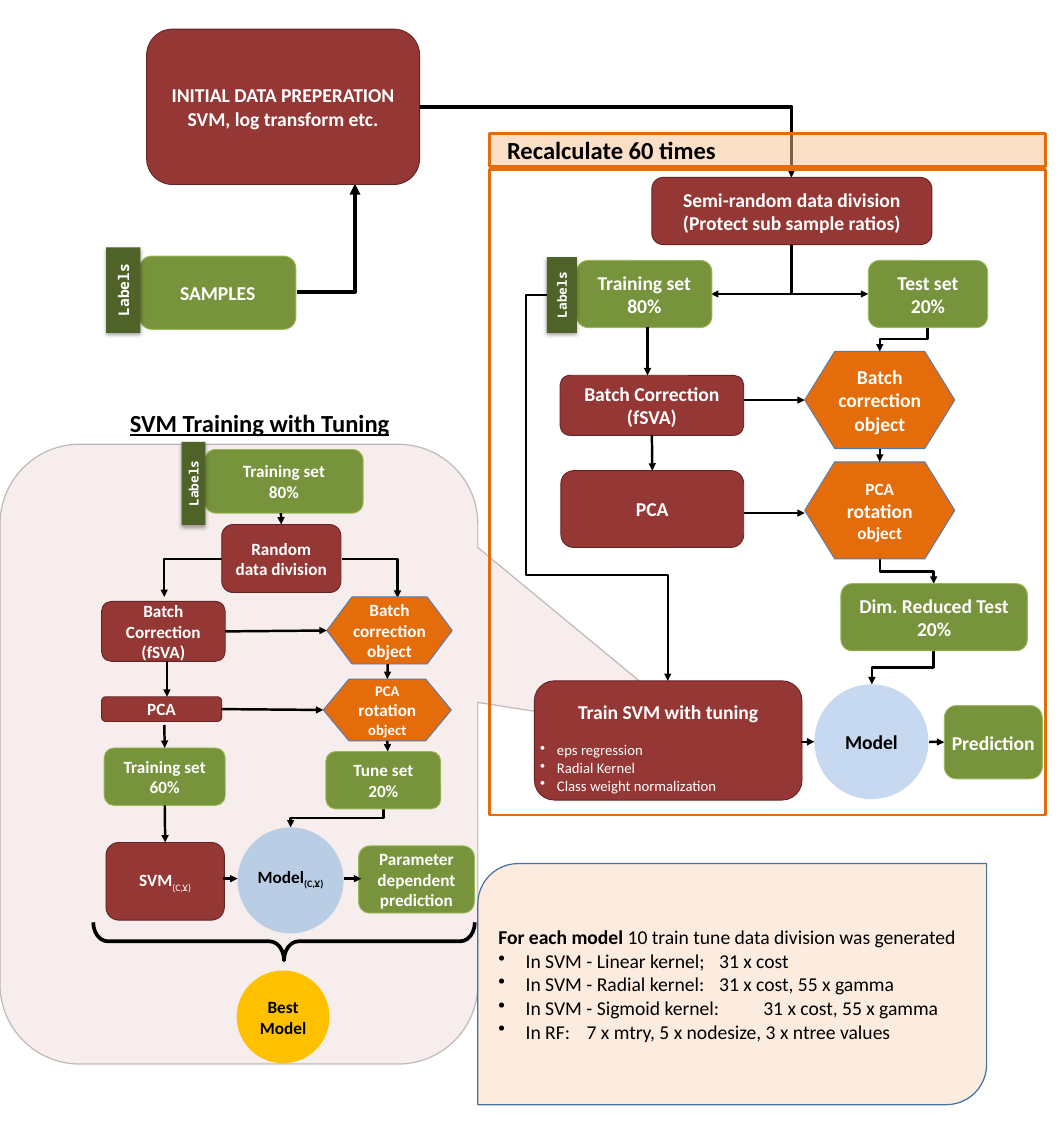
"""Builds a flow chart slide on training and tuning SVM models."""
import lxml.etree
import pptx
import pptx.dml.color
import pptx.enum.shapes
import pptx.enum.text
import pptx.oxml.ns
import pptx.util

SIZE = (1200, 1300)
PX = 9144
HUES = {"red": "953735", "wine": "632523", "green": "77933C", "lime": "98B955",
        "orange": "E46C0A", "blue": "4B7EBC", "moss": "4F6228", "sky": "C6D9F1",
        "steel": "B9CDE5", "gold": "FFC000", "rose": "E6B9B8", "peach": "FAC090",
        "sand": "F4B183", "navy": "43739E", "white": "FFFFFF", "black": "000000"}
FORM = pptx.enum.shapes.MSO_SHAPE
ALT = FORM.FLOWCHART_ALTERNATE_PROCESS
# kind: (shape, fill, fill alpha, line, line width, text colour)
KINDS = {
    "red": (ALT, "red", 100, "wine", 0.75, "white"),
    "green": (ALT, "green", 100, "lime", 0.75, "white"),
    "hex": (FORM.FLOWCHART_PREPARATION, "orange", 100, "blue", 0.75, "white"),
    "label": (FORM.RECTANGLE, "moss", 100, None, 0, "white"),
    "sky": (FORM.OVAL, "sky", 100, None, 0, "black"),
    "steel": (FORM.OVAL, "steel", 100, None, 0, "black"),
    "gold": (FORM.OVAL, "gold", 100, None, 0, "black"),
    "call": (FORM.ROUNDED_RECTANGULAR_CALLOUT, "rose", 25, "black", 1, "black"),
    "frame": (FORM.RECTANGLE, None, 100, "orange", 2.25, "black"),
    "head": (FORM.RECTANGLE, "peach", 50, "orange", 2.25, "black"),
    "note": (FORM.ROUND_2_DIAG_RECTANGLE, "sand", 25, "navy", 1, "black"),
    "brace": (FORM.RIGHT_BRACE, None, 100, "black", 3, "black"),
}
WIDE = (10, 5, 10, 5)
SLIM = (0, 5, 0, 5)
BACK = ("call", (0, 503, 541, 702), 14, [], WIDE)
BOXES = [
    ("red", (166, 33, 309, 176), 16,
     ["INITIAL DATA PREPERATION", "SVM, log transform etc."], WIDE),
    ("green", (158, 290, 177, 83), 16, ["SAMPLES"], WIDE),
    ("label", (91, 309, 97, 39), 12, ["Labels"], WIDE),
    ("sky", (922, 775, 129, 130), 16, ["Model"], WIDE),
    ("red", (738, 201, 317, 76), 16,
     ["Semi-random data division", "(Protect sub sample ratios)"], WIDE),
    ("green", (653, 295, 153, 76), 16, ["Training set\v80%"], WIDE),
    ("green", (983, 295, 135, 76), 16, ["Test set\v20%"], WIDE),
    ("hex", (911, 523, 170, 110), 14,
     [[("PCA\v", {}), ("rotation", {"size": 16}), (" object", {})]], WIDE),
    ("green", (952, 661, 211, 76), 16, ["Dim. Reduced Test", "20%"], WIDE),
    ("red", (605, 771, 303, 135), 16, ["Train SVM with tuning"], (0, 5, 0, 0)),
    ("green", (1069, 799, 111, 83), 16, ["Prediction"], (2, 5, 2, 5)),
    ("frame", (554, 192, 630, 731), 16, [], WIDE),
    ("head", (554, 151, 630, 38), 20, ["Recalculate 60 times"], (20, 5, 10, 5)),
    ("red", (634, 425, 208, 68), 16, ["Batch Correction (fSVA)"], WIDE),
    ("hex", (911, 398, 170, 110), 16, ["Batch\vcorrection object"], SLIM),
    ("red", (635, 533, 207, 87), 16, ["PCA"], WIDE),
    ("label", (593, 317, 86, 34), 10.5, ["Labels"], WIDE),
    ("green", (232, 509, 179, 72), 14, ["Training set\v80%"], SLIM),
    ("label", (172, 534, 94, 27), 10.5, ["Labels"], WIDE),
    ("red", (251, 594, 135, 77), 14, ["Random data division"], WIDE),
    ("steel", (269, 937, 120, 120), 14,
     [[("Model", {}), ("(C,Ɣ)", {"sub": True})]], (0, 0, 0, 5)),
    ("green", (118, 847, 137, 65), 14, ["Training set\v60%"], WIDE),
    ("green", (369, 851, 130, 65), 14, ["Tune set\v20%"], WIDE),
    ("red", (120, 954, 134, 88), 14,
     [[("SVM", {}), ("(C,Ɣ)", {"sub": True, "bold": False})]], SLIM),
    ("green", (406, 958, 131, 76), 14, ["Parameter dependent prediction"], SLIM),
    ("brace", (300, 850, 43, 432), 14, [], WIDE),
    ("gold", (268, 1099, 105, 105), 14, ["Best", "Model"], WIDE),
    ("red", (115, 789, 136, 28), 14, ["PCA"], WIDE),
    ("hex", (366, 769, 145, 70), 12,
     [[("PCA\v", {}), ("rotation", {"size": 14}), (" object", {})]], WIDE),
    ("red", (115, 681, 140, 68), 14, ["Batch Correction (fSVA)"], WIDE),
    ("hex", (370, 676, 142, 76), 14, ["Batch\vcorrection object"], SLIM),
    ("note", (541, 978, 576, 273), 16,
     [[("For each model ", {}),
       ("10 train tune data division was generated", {"bold": False})]], WIDE),
]
LISTS = {
    "red": (12, 19, 14.4, ["eps regression", "Radial Kernel", "Class weight normalization"]),
    "note": (16, 31, 0, ["In SVM - Linear kernel; \t31 x cost",
                         "In SVM - Radial kernel:\t31 x cost, 55 x gamma",
                         "In SVM - Sigmoid kernel: \t31 x cost, 55 x gamma",
                         "In RF:\t7 x mtry, 5 x nodesize, 3 x ntree values"]),
}
TITLE = ("SVM Training with Tuning", (120, 457, 348, 44))
BENDS = [
    ("turn", (476, 121, 896, 201), 3), ("turn", (336, 331, 402, 208), 3),
    ("back", (805, 333, 896, 277), 2), ("back", (983, 333, 896, 277), 2),
    ("turn", (387, 633, 450, 677), 2), ("turn", (251, 633, 186, 676), 2),
    ("drop", (1050, 370, 996, 398), 2), ("drop", (996, 633, 1057, 661), 2),
    ("drop", (1057, 737, 987, 775), 2), ("drop", (434, 916, 329, 937), 2),
    ("loop", (620, 334, 756, 771), 1.5),
]
LINES = [
    (733, 370, 733, 425), (738, 493, 738, 533), (842, 453, 911, 453),
    (842, 581, 911, 581), (996, 508, 996, 523), (907, 840, 922, 840),
    (1052, 840, 1069, 840), (318, 581, 318, 594), (186, 912, 186, 954),
    (252, 995, 269, 995), (389, 995, 409, 995), (251, 804, 366, 804),
    (189, 749, 189, 789), (439, 752, 439, 769), (255, 715, 370, 715),
    (186, 821, 186, 847), (439, 838, 439, 851),
]

deck = pptx.Presentation()
deck.slide_width, deck.slide_height = (n * PX for n in SIZE)
slide = deck.slides.add_slide(deck.slide_layouts[6])
Pt = pptx.util.Pt
qn = pptx.oxml.ns.qn


def emu(nums):
    return [round(n * PX) for n in nums]


def hue(name):
    return pptx.dml.color.RGBColor.from_string(HUES[name])


def add(node, tag, **attrs):
    return lxml.etree.SubElement(node, qn(tag), **attrs)


def fade(node, share):
    if share < 100:
        add(node.find(".//" + qn("a:srgbClr")), "a:alpha", val=str(share * 1000))


def style(par, size, tint, bold=True, face="Calibri"):
    font = par.font
    font.name, font.size, font.bold = face, Pt(size), bold
    font.color.rgb = hue(tint)


def fill_in(par, text):
    if isinstance(text, str):
        par.text = text
        return
    for words, look in text:
        run = par.add_run()
        run.text = words.rstrip("\v")
        if words.endswith("\v"):
            par.add_line_break()
        if "size" in look:
            run.font.size = Pt(look["size"])
        if "bold" in look:
            run.font.bold = look["bold"]
        if "sub" in look:
            run.font._element.set("baseline", "-25000")


def bullets(frame, kind):
    size, step, gap, items = LISTS[kind]
    for i, item in enumerate(items):
        par = frame.add_paragraph()
        par.text = item
        style(par, size, KINDS[kind][5], False)
        par.alignment = pptx.enum.text.PP_ALIGN.LEFT
        par.space_before = Pt(0 if i else gap)
        props = par._p.get_or_add_pPr()
        props.set("marL", str(step * PX))
        props.set("indent", str(-step * PX))
        mark = lxml.etree.Element(qn("a:buChar"), char="•")
        props.find(qn("a:defRPr")).addprevious(mark)


def box(kind, place, size, text, pads):
    form, fill, share, edge, width, tint = KINDS[kind]
    shape = slide.shapes.add_shape(form, *emu(place))
    shape.shadow.inherit = False
    if fill:
        shape.fill.solid()
        shape.fill.fore_color.rgb = hue(fill)
        fade(shape._element.spPr, share)
    else:
        shape.fill.background()
    if edge:
        shape.line.color.rgb = hue(edge)
        shape.line.width = Pt(width)
    else:
        shape.line.fill.background()
    frame = shape.text_frame
    frame.word_wrap = True
    frame.margin_left, frame.margin_top, frame.margin_right, frame.margin_bottom = emu(pads)
    left = kind in ("head", "note")
    for i, words in enumerate(text):
        par = frame.add_paragraph() if i else frame.paragraphs[0]
        fill_in(par, words)
        style(par, size, tint, face="Noto Sans Mono" if kind == "label" else "Calibri")
        par.alignment = pptx.enum.text.PP_ALIGN.LEFT if left else pptx.enum.text.PP_ALIGN.CENTER
    if kind == "note" or text == ["Train SVM with tuning"]:
        bullets(frame, kind)
    if kind == "red" and pads[3] == 0:
        frame.vertical_anchor = pptx.enum.text.MSO_ANCHOR.BOTTOM
    if kind == "label":
        shape.rotation = 270
        cast = add(shape._element.spPr.find(qn("a:effectLst")), "a:outerShdw", blurRad="40000",
                   dist="23000", dir="5400000", rotWithShape="0")
        add(add(cast, "a:srgbClr", val=HUES["black"]), "a:alpha", val="35000")
    return shape


def arrow(form, ends, width, tip="a:tailEnd"):
    line = slide.shapes.add_connector(form, *emu(ends))
    line.line.color.rgb = hue("black")
    line.line.width = Pt(width)
    add(line.line._get_or_add_ln(), tip, type="triangle")
    add(line._element.spPr, "a:effectLst")
    return line


def bend(mode, ends, width):
    x, y, u, v = ends
    if mode == "drop":
        mid, row, rise, run = (x + u) / 2, (y + v) / 2, (v - y) / 2, (u - x) / 2
        ends = (mid - rise, row + run, mid + rise, row - run)
    line = arrow(pptx.enum.shapes.MSO_CONNECTOR.ELBOW, ends, width,
                 "a:headEnd" if mode == "back" else "a:tailEnd")
    props = line._element.spPr
    geom = props.find(qn("a:prstGeom"))
    if mode == "drop":
        props.find(qn("a:xfrm")).set("rot", "5400000")
    elif mode == "loop":
        geom.set("prst", "bentConnector4")
        for name, val in (("adj1", -18300), ("adj2", 72600)):
            add(geom.find(qn("a:avLst")), "a:gd", name=name, fmla=f"val {val}")
    else:
        geom.set("prst", "bentConnector2")


def site(x, y, sides):
    for shape, (a, b, w, h) in sides:
        spots = ((a + w / 2, b), (a, b + h / 2), (a + w / 2, b + h), (a + w, b + h / 2))
        for i, (p, q) in enumerate(spots):
            if max(abs(p - x), abs(q - y)) < 1.5:
                return shape, i
    return None


call = box(*BACK)
for i, val in enumerate((0.984, -0.025, 0.167)):
    call.adjustments[i] = val
fade(call.line._get_or_add_ln(), 24)
for item in BENDS:
    bend(*item)
sides = []
for item in BOXES:
    shape = box(*item)
    if item[0] in ("red", "green", "hex"):
        sides.append((shape, item[1]))
    elif item[0] == "brace":
        shape.rotation = 90
        shape.adjustments[0] = 0.381
for ends in LINES:
    line = arrow(pptx.enum.shapes.MSO_CONNECTOR.STRAIGHT, ends, 2)
    for join, spot in ((line.begin_connect, ends[:2]), (line.end_connect, ends[2:])):
        found = site(*spot, sides)
        if found:
            join(*found)
frame = slide.shapes.add_textbox(*emu(TITLE[1])).text_frame
frame.word_wrap = True
par = frame.paragraphs[0]
par.text = TITLE[0]
style(par, 20, "black")
par.font.underline = True
par.alignment = pptx.enum.text.PP_ALIGN.CENTER
deck.save("out.pptx")
